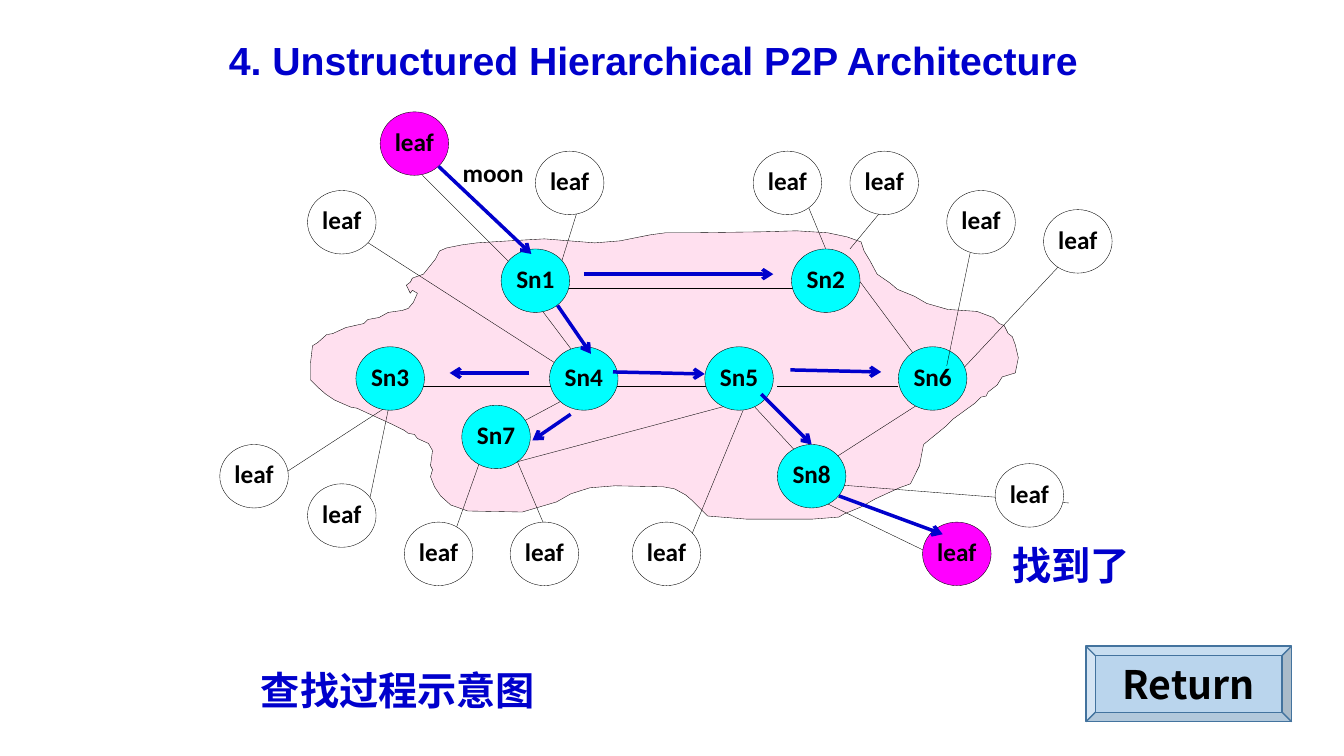
from dataclasses import dataclass

from lxml import etree
from pptx import Presentation
from pptx.dml.color import RGBColor
from pptx.enum.shapes import MSO_CONNECTOR, MSO_SHAPE
from pptx.enum.text import MSO_ANCHOR, PP_ALIGN
from pptx.oxml.ns import qn
from pptx.util import Inches, Pt

OVAL, BEVEL = MSO_SHAPE.OVAL, MSO_SHAPE.BEVEL
STRAIGHT = MSO_CONNECTOR.STRAIGHT
TOP, MIDDLE = MSO_ANCHOR.TOP, MSO_ANCHOR.MIDDLE
LEFT, CENTER = PP_ALIGN.LEFT, PP_ALIGN.CENTER


@dataclass(frozen=True)
class Theme:
    blue: str = "0000CC"
    black: str = "000000"
    white: str = "FFFFFF"
    cyan: str = "00FFFF"
    magenta: str = "FF00FF"
    pink: str = "FF99CC"
    steel: str = "5B9BD5"
    edge: str = "43739E"
    head: str = "Arial"
    body: str = "Calibri"
    cjk: str = "Noto Sans CJK SC"
    big: int = 28
    small: int = 18
    thin: float = 0.25
    thick: float = 2.5


T = Theme()
NODE_W, NODE_H = 0.68, 0.63

# Offsets in inches from the top left corner of the network's box
SUPERS = {
    "Sn1": (2.97, 1.47), "Sn2": (5.85, 1.47), "Sn3": (1.53, 2.44),
    "Sn4": (3.45, 2.44), "Sn5": (4.99, 2.44), "Sn6": (6.91, 2.44),
    "Sn7": (2.58, 3.02), "Sn8": (5.71, 3.41),
}
LEAVES = [
    (3.06, 4.18), (4.27, 4.18), (7.87, 3.6), (2.01, 4.18), (1.05, 0.89),
    (3.31, 0.5), (5.47, 0.5), (6.43, 0.5), (8.35, 1.08), (0.18, 3.41),
    (1.05, 3.8),
]
SEEKER, FOUND, FRONT = (1.77, 0.11), (7.15, 4.18), (7.39, 0.89)
LINKS = [
    (1.86, 3.02, 1.62, 4.18), (3.06, 3.41, 3.55, 4.57),
    (2.82, 3.41, 2.34, 4.76), (0.66, 3.8, 1.86, 3.02),
    (5.47, 2.83, 4.75, 4.57), (6.19, 3.99, 7.39, 4.57),
    (6.19, 3.8, 8.6, 3.99), (7.39, 2.83, 8.84, 1.28),
    (6.43, 1.47, 6.91, 0.89), (6.19, 1.47, 5.95, 0.89),
    (3.55, 1.66, 3.79, 0.89), (3.31, 1.86, 2.19, 0.74),
    (3.55, 2.63, 1.14, 1.08), (2.1, 2.83, 3.55, 2.83),
    (3.79, 2.86, 3.06, 3.25), (3.06, 3.6, 5.23, 3.02),
    (5.47, 3.02, 6.19, 3.8), (6.19, 3.6, 7.39, 2.83),
    (6.43, 1.66, 7.15, 2.63), (5.71, 2.83, 6.91, 2.83),
    (4.03, 2.83, 5.47, 2.83), (3.06, 1.66, 3.79, 2.63),
    (3.31, 1.86, 5.95, 1.86),
]
FRONT_LINK = (7.39, 2.63, 7.63, 1.47)
STEPS = [
    (2.35, 0.65, 3.27, 1.52), (3.79, 1.72, 5.67, 1.72),
    (3.53, 2.03, 3.86, 2.51), (4.08, 2.69, 4.99, 2.71),
    (5.55, 2.91, 6.05, 3.41), (6.32, 3.92, 7.35, 4.3),
    (3.25, 2.7, 2.46, 2.7), (3.66, 3.11, 3.28, 3.37),
    (5.84, 2.67, 6.74, 2.69),
]
CLOUD = [
    (2.07, 1.91), (2.03, 1.83), (2.07, 1.8), (2.09, 1.76), (2.2, 1.72),
    (2.32, 1.57), (2.36, 1.49), (2.43, 1.46), (2.58, 1.43), (2.73, 1.41),
    (3.05, 1.39), (3.4, 1.37), (3.9, 1.41), (4.15, 1.39), (4.45, 1.33),
    (4.6, 1.31), (4.87, 1.31), (5.56, 1.3), (5.9, 1.29), (6.21, 1.31),
    (6.4, 1.35), (6.54, 1.4), (6.57, 1.49), (6.63, 1.59), (6.7, 1.72),
    (6.83, 1.81), (6.9, 1.87), (7.07, 1.94), (7.19, 2.01), (7.4, 2.07),
    (7.69, 2.09), (7.85, 2.15), (7.91, 2.21), (7.96, 2.23), (8, 2.31),
    (8.04, 2.34), (8.07, 2.42), (8.1, 2.55), (8.07, 2.7), (7.94, 2.74),
    (7.89, 2.82), (7.8, 2.89), (7.78, 2.93), (7.73, 2.94), (7.67, 3),
    (7.45, 3.16), (7.38, 3.23), (7.16, 3.41), (7.12, 3.62), (7.03, 3.8),
    (6.92, 3.84), (6.68, 3.95), (6.54, 4.03), (6.37, 4.1), (6.32, 4.13),
    (6.06, 4.15), (5.4, 4.15), (5.02, 4.12), (4.87, 3.97), (4.8, 3.91),
    (4.69, 3.85), (4.58, 3.83), (4.1, 3.82), (3.85, 3.84), (3.66, 3.9),
    (3.52, 3.98), (3.35, 4.03), (3.18, 4.08), (2.64, 4.07), (2.47, 4.01),
    (2.37, 3.92), (2.31, 3.83), (2.27, 3.73), (2.29, 3.66), (2.27, 3.62),
    (2.29, 3.47), (2.25, 3.4), (2.14, 3.35), (2.11, 3.31), (2.05, 3.3),
    (2.01, 3.27), (1.89, 3.21), (1.67, 3.11), (1.54, 3.05), (1.48, 3.04),
    (1.32, 2.97), (1.23, 2.91), (1.15, 2.84), (1.08, 2.77), (1.08, 2.6),
    (1.1, 2.43), (1.15, 2.4), (1.24, 2.32), (1.3, 2.31), (1.43, 2.25),
    (1.61, 2.21), (1.65, 2.17), (1.76, 2.15), (1.85, 2.1), (1.99, 2.08),
    (2.05, 2.06), (2.1, 2.0), (2.14, 1.91), (2.09, 1.88),
]


def write(shape, text, size=T.small, face=T.body, color=T.black,
          align=LEFT, anchor=TOP, wrap=True, inset=(0.1, 0.05, 0.1, 0.05)):
    frame = shape.text_frame
    frame.word_wrap, frame.vertical_anchor = wrap, anchor
    (frame.margin_left, frame.margin_top, frame.margin_right,
     frame.margin_bottom) = map(Inches, inset)
    para = frame.paragraphs[0]
    para.alignment = align
    run = para.add_run()
    run.text = text
    font = run.font
    font.size, font.bold, font.name = Pt(size), True, face
    font.color.rgb = RGBColor.from_string(color)
    etree.SubElement(font._element, qn("a:ea"), typeface=face)


def label(slide, box, text, **form):
    write(slide.shapes.add_textbox(*map(Inches, box)), text, **form)


def paint(shape, fill, line=T.black, width=T.thin, alpha=None):
    """Set fill and outline; alpha is the opacity in percent."""
    shape.shadow.inherit = False
    shape.fill.solid()
    shape.fill.fore_color.rgb = RGBColor.from_string(fill)
    shape.line.color.rgb = RGBColor.from_string(line)
    shape.line.width = Pt(width)
    if alpha:
        color = shape._element.spPr.find(qn("a:solidFill"))[0]
        etree.SubElement(color, qn("a:alpha"), val=str(alpha * 1000))


def join(slide, left, top, ends, color=T.black, width=T.thin, arrow=False):
    x1, y1, x2, y2 = ends
    points = (left + x1, top + y1, left + x2, top + y2)
    link = slide.shapes.add_connector(STRAIGHT, *map(Inches, points))
    link.line.color.rgb = RGBColor.from_string(color)
    link.line.width = Pt(width)
    if arrow:
        etree.SubElement(link.line._get_or_add_ln(), qn("a:tailEnd"),
                         type="arrow")
    etree.SubElement(link._element.spPr, qn("a:effectLst"))


def network(slide, box):
    left, top = box[:2]

    def node(spot, text="leaf", fill=T.white):
        place = (left + spot[0], top + spot[1], NODE_W, NODE_H)
        oval = slide.shapes.add_shape(OVAL, *map(Inches, place))
        paint(oval, fill)
        write(oval, text, align=CENTER, inset=(0, 0.05, 0, 0))

    points = [(Inches(left + x), Inches(top + y)) for x, y in CLOUD]
    outline = slide.shapes.build_freeform(*points[0])
    outline.add_line_segments(points[1:], close=True)
    paint(outline.convert_to_shape(), T.pink, alpha=30)
    for ends in LINKS:
        join(slide, left, top, ends)
    for name, spot in SUPERS.items():
        node(spot, name, T.cyan)
    for spot in LEAVES:
        node(spot)
    for spot in (SEEKER, FOUND):
        node(spot, fill=T.magenta)
    join(slide, left, top, FRONT_LINK)
    node(FRONT)
    for ends in STEPS:
        join(slide, left, top, ends, T.blue, T.thick, arrow=True)
    label(slide, (left + 2.49, top + 0.51, 0.91, 0.4), "moon")
    label(slide, (left + 7.94, top + 4.32, 1.38, 0.57), "找到了",
          size=T.big, face=T.cjk, color=T.blue, wrap=False)


def heading(slide, box):
    title = slide.shapes.title
    title.left, title.top, title.width, title.height = map(Inches, box)
    write(title, "4. Unstructured Hierarchical P2P Architecture",
          size=T.big, face=T.head, color=T.blue, anchor=MIDDLE)


def button(slide, box):
    shape = slide.shapes.add_shape(BEVEL, *map(Inches, box))
    paint(shape, T.steel, T.edge, 1, alpha=42)
    write(shape, "Return", size=T.big, face=T.cjk, align=CENTER,
          anchor=MIDDLE)


def main():
    deck = Presentation()
    deck.slide_width, deck.slide_height = Inches(13.33), Inches(7.5)
    slide = deck.slides.add_slide(deck.slide_layouts[5])
    heading(slide, (2.17, 0.21, 9.07, 0.77))
    network(slide, (2, 1, 9.32, 4.89))
    label(slide, (2.49, 6.56, 3.25, 0.57), "查找过程示意图",
          size=T.big, face=T.cjk, color=T.blue, anchor=MIDDLE)
    button(slide, (10.77, 6.41, 2.04, 0.75))
    deck.save("out.pptx")


if __name__ == "__main__":
    main()
